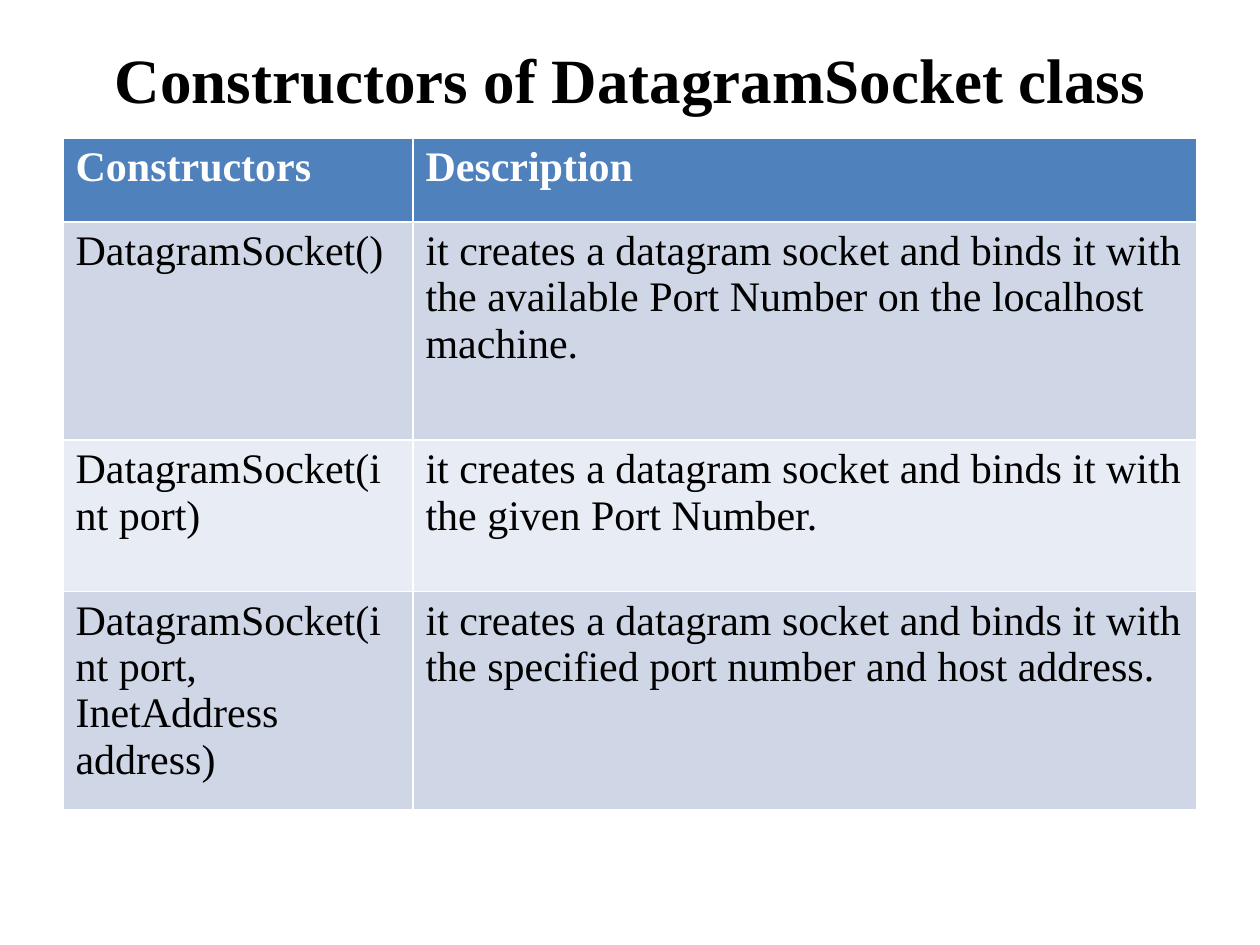
from pptx import Presentation
from pptx import util as u
from pptx.dml import color
from pptx.enum import text

FACE = "Times New Roman"
HEAD = {"name": FACE, "size": u.Pt(24), "bold": True}
BODY = {**HEAD, "bold": False}
TITLE = {**HEAD, "size": u.Pt(36)}
BANDS = ["CFD7E7", "E8ECF4"]
ROWS = [
    ("Constructors", "Description"),
    ("DatagramSocket()",
     "it creates a datagram socket and binds it with the available "
     "Port Number on the localhost machine."),
    ("DatagramSocket(int port)",
     "it creates a datagram socket and binds it with the given Port Number."),
    ("DatagramSocket(int port, InetAddress address)",
     "it creates a datagram socket and binds it with the specified "
     "port number and host address."),
]


def paint(fore, tone):
    fore.rgb = color.RGBColor.from_string(tone)


def style(para, form, tone):
    font = para.runs[0].font
    for key, value in form.items():
        setattr(font, key, value)
    paint(font.color, tone)


def add_title(slide, box, words):
    title = slide.shapes.title
    for key, value in zip(("left", "top", "width", "height"), box):
        setattr(title, key, u.Pt(value))
    frame = title.text_frame
    frame.text = words
    frame.vertical_anchor = text.MSO_ANCHOR.MIDDLE
    para = frame.paragraphs[0]
    para.alignment = text.PP_ALIGN.CENTER
    style(para, TITLE, "000000")


def add_grid(slide, box, rows, wide, high):
    spot = [u.Pt(value) for value in box]
    grid = slide.shapes.add_table(len(rows), len(wide), *spot).table
    for col, size in zip(grid.columns, wide):
        col.width = u.Pt(size)
    for r, (row, size) in enumerate(zip(rows, high)):
        grid.rows[r].height = u.Pt(size)
        form, ink = (BODY, "000000") if r else (HEAD, "FFFFFF")
        fill = BANDS[(r - 1) % 2] if r else "4F81BD"
        for c, words in enumerate(row):
            cell = grid.cell(r, c)
            cell.text = words
            cell.fill.solid()
            paint(cell.fill.fore_color, fill)
            style(cell.text_frame.paragraphs[0], form, ink)


def main():
    deck = Presentation()
    deck.slide_width, deck.slide_height = u.Pt(720), u.Pt(540)
    slide = deck.slides.add_slide(deck.slide_layouts[5])
    add_title(slide, (36, 21.6, 648, 46), "Constructors of DatagramSocket class")
    wide, high = (200, 448), (48, 124.8, 86.4, 124.8)
    add_grid(slide, (36, 78.75, sum(wide), sum(high)), ROWS, wide, high)
    deck.save("out.pptx")


if __name__ == "__main__":
    main()
